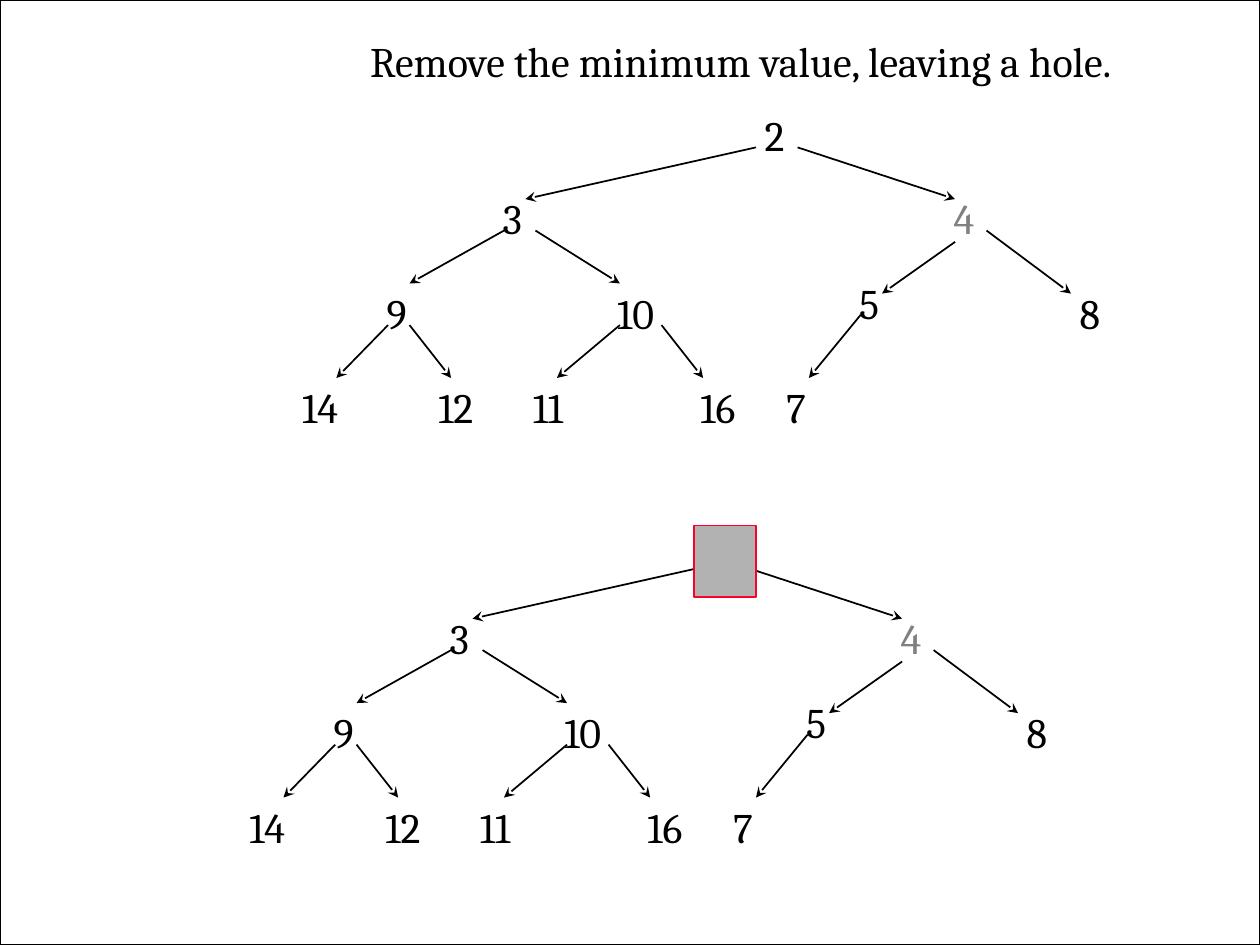
from typing import NamedTuple

from lxml import etree
from pptx import Presentation
from pptx.dml.color import RGBColor
from pptx.enum.shapes import MSO_CONNECTOR, MSO_SHAPE
from pptx.enum.text import MSO_AUTO_SIZE as AutoSize
from pptx.oxml.ns import qn
from pptx.util import Inches, Pt

BLACK = RGBColor(0x00, 0x00, 0x00)
WHITE = RGBColor(0xFF, 0xFF, 0xFF)
GRAY = RGBColor(0x80, 0x80, 0x80)
HOLE_FILL = RGBColor(0xB2, 0xB2, 0xB2)
RED = RGBColor(0xFC, 0x01, 0x28)


class Node(NamedTuple):
    value: str
    left: float
    top: float
    color: RGBColor = BLACK


class Edge(NamedTuple):
    x1: float
    y1: float
    x2: float
    y2: float


ROOT = Node("2", 5.97, 0.82)
DESCENDANTS = [
    Node("3", 3.89, 1.48), Node("4", 7.47, 1.48, GRAY),
    Node("9", 2.97, 2.23), Node("10", 4.8, 2.23),
    Node("5", 6.72, 2.15), Node("8", 8.47, 2.23),
    Node("14", 2.3, 2.98), Node("12", 3.38, 2.98),
    Node("11", 4.13, 2.98), Node("16", 5.46, 2.98), Node("7", 6.14, 2.98),
]
EDGES = [
    Edge(6, 1.17, 4.17, 1.58), Edge(6.33, 1.17, 7.58, 1.58),
    Edge(4, 1.83, 3.25, 2.25), Edge(4.25, 1.83, 4.92, 2.25),
    Edge(7.58, 1.92, 7, 2.33), Edge(7.83, 1.83, 8.5, 2.33),
    Edge(3.08, 2.58, 2.67, 3), Edge(3.25, 2.58, 3.58, 3),
    Edge(4.92, 2.58, 4.42, 3), Edge(5.25, 2.58, 5.58, 3),
    Edge(6.83, 2.5, 6.42, 3),
]


def add_text(slide, text: str, *, left: float, top: float, width: float,
             color: RGBColor = BLACK, size: float = 24) -> None:
    box = slide.shapes.add_textbox(Inches(left), Inches(top), Inches(width), Inches(0.5))
    frame = box.text_frame
    frame.word_wrap = False
    frame.auto_size = AutoSize.SHAPE_TO_FIT_TEXT
    span = frame.paragraphs[0].add_run()
    span.text = text
    span.font.name = "Cambria"
    span.font.size = Pt(size)
    span.font.color.rgb = color


def add_rectangle(slide, *, left: float, top: float, width: float, height: float,
                  fill: RGBColor, line: RGBColor, weight: float) -> None:
    shape = slide.shapes.add_shape(
        MSO_SHAPE.RECTANGLE, Inches(left), Inches(top), Inches(width), Inches(height))
    shape.shadow.inherit = False
    shape.fill.solid()
    shape.fill.fore_color.rgb = fill
    shape.line.color.rgb = line
    shape.line.width = Pt(weight)


def add_arrow(slide, edge: Edge, dx: float, dy: float) -> None:
    arrow = slide.shapes.add_connector(
        MSO_CONNECTOR.STRAIGHT, Inches(edge.x1 + dx), Inches(edge.y1 + dy),
        Inches(edge.x2 + dx), Inches(edge.y2 + dy))
    arrow.line.color.rgb = BLACK
    arrow.line.width = Pt(1)
    properties = arrow._element.spPr
    etree.SubElement(properties.find(qn("a:ln")), qn("a:tailEnd"), type="stealth")
    etree.SubElement(properties, qn("a:effectLst"))


def add_tree(slide, nodes: list[Node], dx: float = 0, dy: float = 0) -> None:
    for node in nodes:
        width = 0.2 + 0.19 * len(node.value)
        add_text(slide, node.value, left=node.left + dx, top=node.top + dy,
                 width=width, color=node.color)
    for edge in EDGES:
        add_arrow(slide, edge, dx, dy)


def main() -> None:
    deck = Presentation()
    deck.slide_width, deck.slide_height = Inches(10), Inches(7.5)
    page = deck.slides.add_slide(deck.slide_layouts[6])

    # Page frame
    add_rectangle(page, left=0, top=0, width=10, height=7.5,
                  fill=WHITE, line=BLACK, weight=0.75)

    # Heap before and after the removal
    add_tree(page, [ROOT, *DESCENDANTS])
    add_tree(page, DESCENDANTS, dx=-0.42, dy=3.33)

    # Title
    add_text(page, "Remove the minimum value, leaving a hole.",
             left=2.84, top=0.23, width=7.17)

    # Hole at the root, over the arrow ends
    add_rectangle(page, left=5.51, top=4.17, width=0.49, height=0.57,
                  fill=HOLE_FILL, line=RED, weight=1)

    deck.save("out.pptx")


if __name__ == "__main__":
    main()
